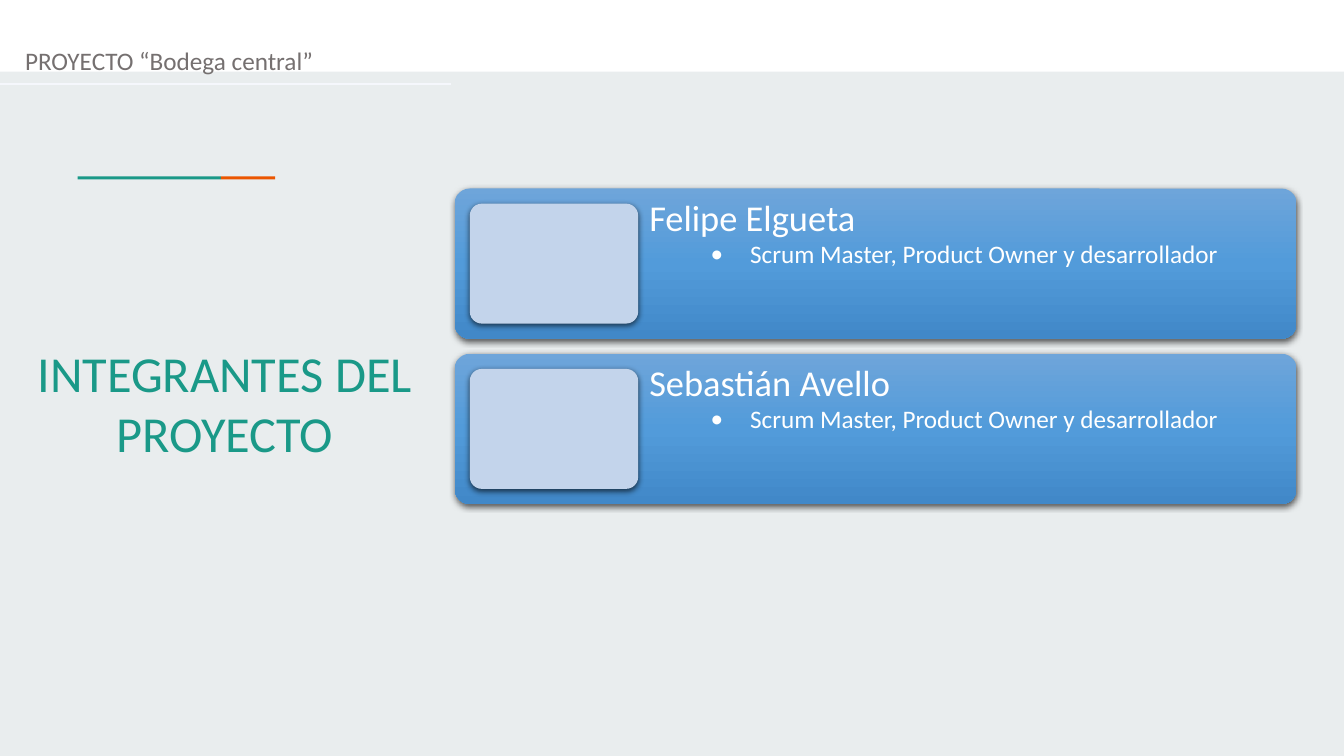
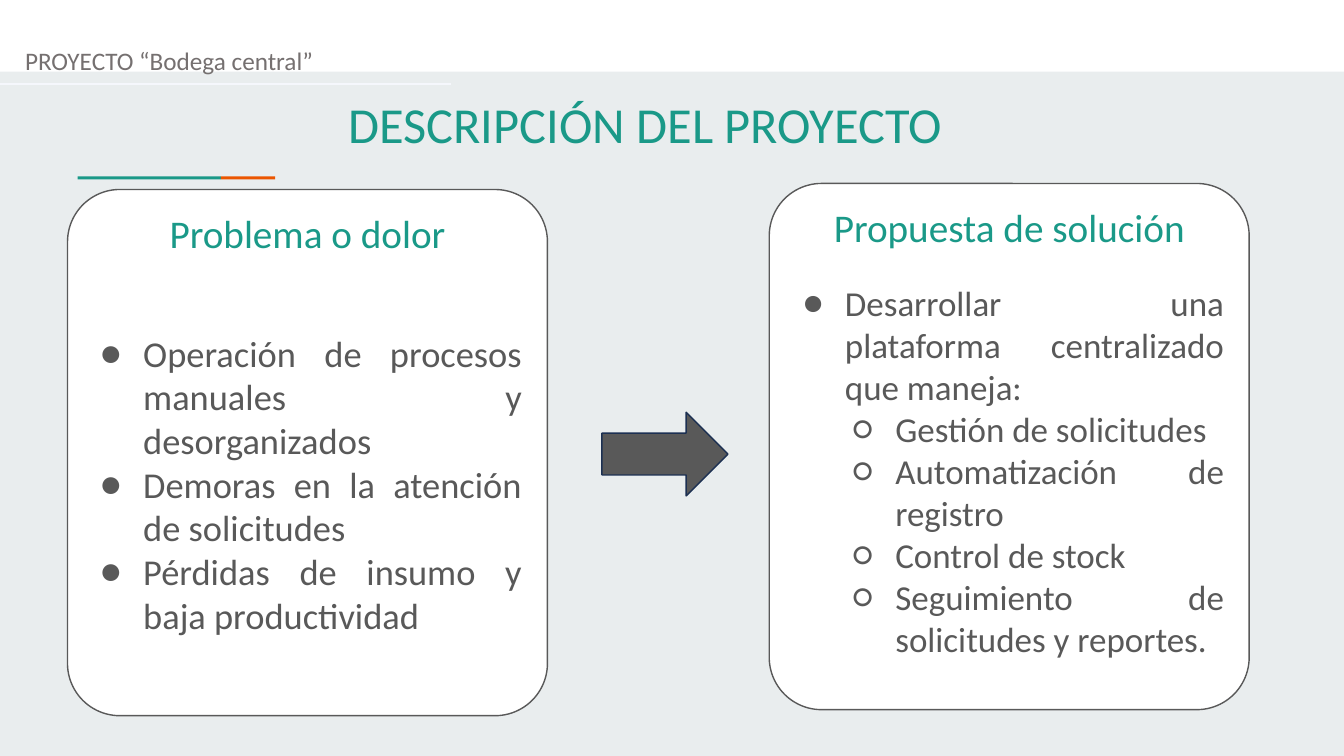
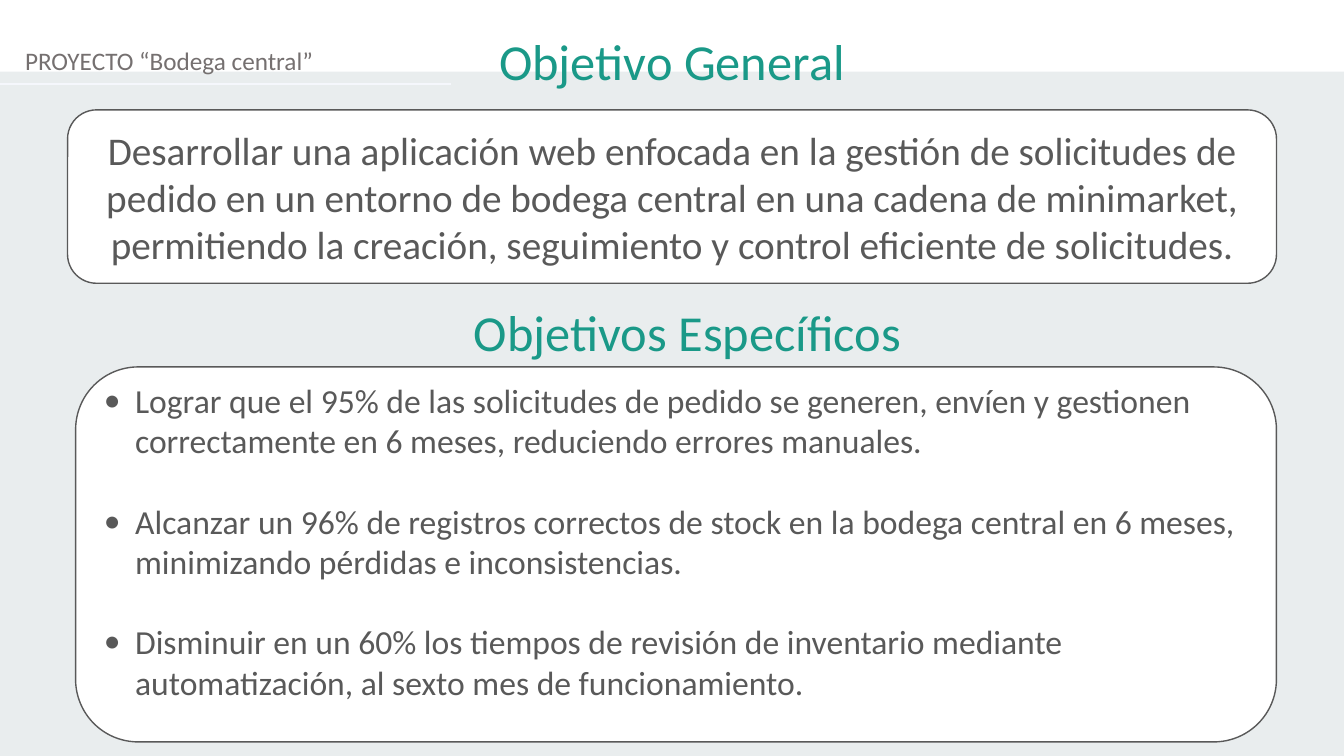
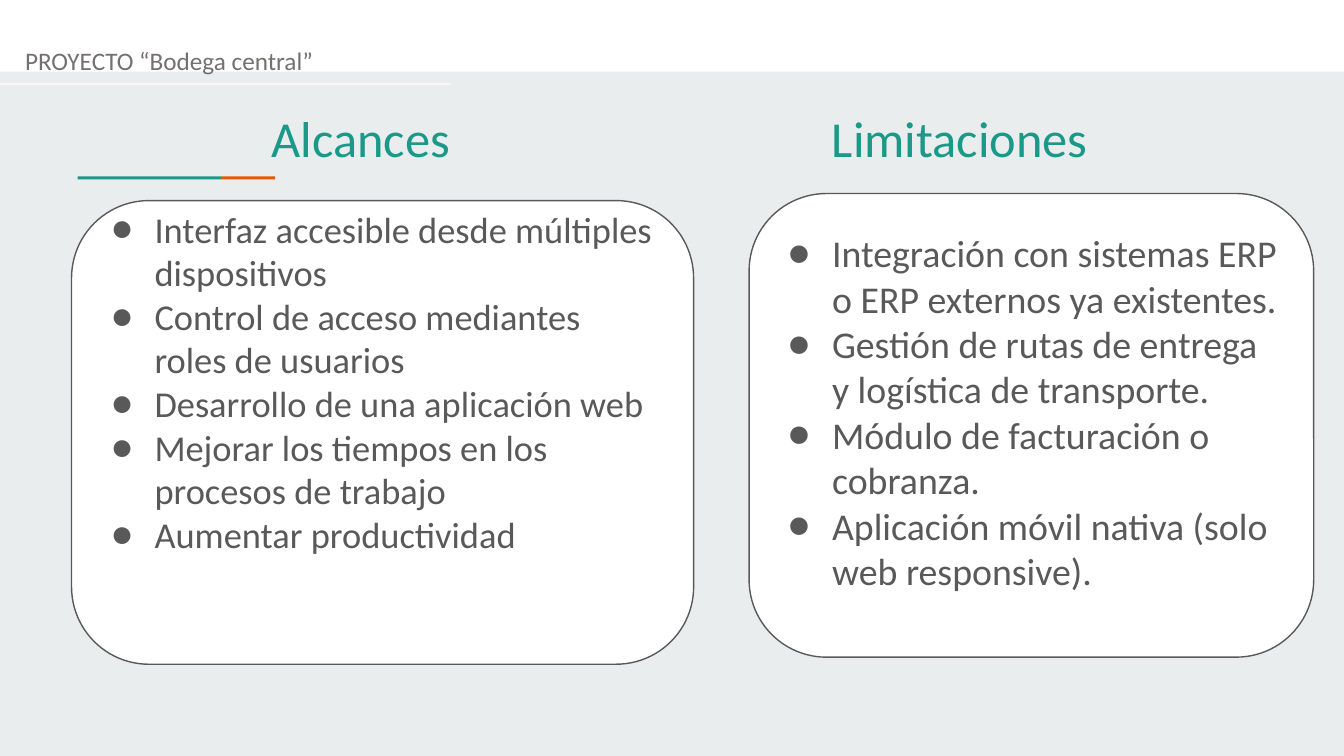
from pptx import Presentation
from pptx.dml.color import RGBColor
from pptx.enum.shapes import MSO_CONNECTOR, MSO_SHAPE
from pptx.enum.text import MSO_ANCHOR, MSO_AUTO_SIZE, PP_ALIGN
from pptx.oxml import parse_xml
from pptx.oxml.ns import qn
from pptx.util import Inches, Pt
from lxml import etree

WHITE = RGBColor(0xFF, 0xFF, 0xFF)
PAPER = RGBColor(0xE9, 0xED, 0xEE)
TEAL = RGBColor(0x1A, 0x99, 0x88)
ORANGE = RGBColor(0xEB, 0x56, 0x00)
GREY = RGBColor(0x59, 0x59, 0x59)
HEADER_GREY = RGBColor(0x75, 0x70, 0x70)
RULE = RGBColor(0xF5, 0xF7, 0xFC)
NAVY = RGBColor(0x1C, 0x30, 0x52)
PHOTO_BLUE = RGBColor(0xC3, 0xD4, 0xEB)
MEMBER_STOPS = [(0, RGBColor(0x6E, 0xA5, 0xDA)), (50, RGBColor(0x52, 0x9B, 0xDA)),
                (100, RGBColor(0x41, 0x88, 0xC8))]

FONT = "Calibri"
WIDTH, HEIGHT = 13.33, 7.5
CORNER_INSET = 0.29
DRAWING = 'xmlns:a="http://schemas.openxmlformats.org/drawingml/2006/main"'

HEADER = "PROYECTO “Bodega central”"
ACCENTS = [((0.77, 1.75, 1.42, 0.03), TEAL), ((2.19, 1.75, 0.54, 0.03), ORANGE)]

ROLE = "Scrum Master, Product Owner y desarrollador"
MEMBERS = [("Felipe Elgueta", ROLE), ("Sebastián Avello", ROLE)]

PROBLEM = {
    "card": (0.67, 1.88, 4.76, 5.22), "corner": 0.109, "top": 2.03,
    "heading": "Problema o dolor", "lead": 53, "size": 26, "align": PP_ALIGN.JUSTIFY,
    "bullet": ("●", 0.5, -0.43),
    "items": ["Operación de procesos manuales y desorganizados",
              "Demoras en la atención de solicitudes",
              "Pérdidas de insumo y baja productividad"],
}
SOLUTION = {
    "card": (7.63, 1.82, 4.76, 5.22), "corner": 0.109, "top": 1.97,
    "heading": "Propuesta de solución", "lead": 22, "size": 25, "align": PP_ALIGN.JUSTIFY,
    "bullet": ("●", 0.5, -0.42),
    "items": ["Desarrollar una plataforma centralizado que maneja:",
              ["Gestión de solicitudes", "Automatización de registro", "Control de stock",
               "Seguimiento de solicitudes y reportes."]],
}
GENERAL_GOAL = ("Desarrollar una aplicación web enfocada en la gestión de solicitudes de pedido "
                "en un entorno de bodega central en una cadena de minimarket, permitiendo la "
                "creación, seguimiento y control eficiente de solicitudes.")
SPECIFIC_GOALS = {
    "card": (0.75, 3.64, 11.91, 3.72), "corner": 0.167, "top": 3.72, "gap": 28.5, "size": 24,
    "bullet": ("•", 0.31, -0.31),
    "items": ["Lograr que el 95% de las solicitudes de pedido se generen, envíen y gestionen "
              "correctamente en 6 meses, reduciendo errores manuales.",
              "Alcanzar un 96% de registros correctos de stock en la bodega central en 6 meses, "
              "minimizando pérdidas e inconsistencias.",
              "Disminuir en un 60% los tiempos de revisión de inventario mediante "
              "automatización, al sexto mes de funcionamiento."],
}
SCOPE = {
    "card": (0.71, 1.99, 6.17, 4.6), "corner": 0.167, "top": 2.0, "size": 26,
    "bullet": ("●", 0.5, -0.43),
    "items": ["Interfaz accesible desde múltiples dispositivos",
              "Control de acceso mediantes roles de usuarios",
              "Desarrollo de una aplicación web",
              "Mejorar los tiempos en los procesos de trabajo",
              "Aumentar productividad"],
}
LIMITS = {
    "card": (7.43, 1.92, 5.6, 4.6), "corner": 0.167, "top": 2.23, "size": 27,
    "bullet": ("●", 0.5, -0.44),
    "items": ["Integración con sistemas ERP o ERP externos ya existentes.",
              "Gestión de rutas de entrega y logística de transporte.",
              "Módulo de facturación o cobranza.",
              "Aplicación móvil nativa (solo web responsive)."],
}


def place(shape, box):
    shape.left, shape.top, shape.width, shape.height = map(Inches, box)


def add_box(page, kind, box, fill, line=None, corner=None):
    shape = page.shapes.add_shape(kind, *map(Inches, box))
    shape.shadow.inherit = False
    shape.fill.solid()
    shape.fill.fore_color.rgb = fill
    if line is None:
        shape.line.fill.background()
    else:
        shape.line.color.rgb = line
        shape.line.width = Pt(1)
    if corner is not None:
        shape.adjustments[0] = corner
    return shape


def frame_of(shape, anchor=MSO_ANCHOR.TOP, side=0.1, edge=0.05):
    frame = shape.text_frame
    frame.word_wrap = True
    frame.auto_size = MSO_AUTO_SIZE.NONE
    frame.vertical_anchor = anchor
    frame.margin_left = frame.margin_right = Inches(side)
    frame.margin_top = frame.margin_bottom = Inches(edge)
    return frame


def write(para, text, size, color, align=PP_ALIGN.LEFT, bullet=None, before=0):
    para.text = text
    props = para._p.get_or_add_pPr()
    if bullet:
        mark, margin, indent = bullet
        props.set("marL", str(Inches(margin)))
        props.set("indent", str(Inches(indent)))
        tint = etree.SubElement(props, qn("a:buClr"))
        etree.SubElement(tint, qn("a:srgbClr")).set("val", str(color))
        etree.SubElement(props, qn("a:buFont")).set("typeface", FONT)
        etree.SubElement(props, qn("a:buChar")).set("char", mark)
    else:
        props.set("marL", "0")
        props.set("indent", "0")
        etree.SubElement(props, qn("a:buNone"))
    para.alignment = align
    para.space_before = Pt(before)
    for span in para.runs:
        span.font.name = FONT
        span.font.size = Pt(size)
        span.font.color.rgb = color


def write_title(shape, text, center, top, width=6, height=0.71):
    place(shape, (center - width / 2, top, width, height))
    write(frame_of(shape).paragraphs[0], text, 36, TEAL, PP_ALIGN.CENTER)


def add_title(page, *where):
    write_title(page.shapes.add_textbox(0, 0, 0, 0), *where)


def add_header(page):
    box = page.shapes.add_textbox(*map(Inches, (0.15, 0.4, 4.3, 0.4)))
    write(frame_of(box).paragraphs[0], HEADER, 18, HEADER_GREY)
    rule = page.shapes.add_connector(MSO_CONNECTOR.STRAIGHT, 0, Inches(0.83),
                                     Inches(4.47), Inches(0.83))
    rule.line.color.rgb = RULE
    rule.line.width = Pt(1.25)
    etree.SubElement(rule.element.spPr, qn("a:effectLst"))


def fill_card(page, body, content):
    left, top, width, height = content["card"]
    card = add_box(page, MSO_SHAPE.ROUNDED_RECTANGLE, content["card"], WHITE, GREY,
                   content["corner"])
    body.element.addprevious(card.element)
    inset = content["corner"] * min(width, height) * CORNER_INSET
    place(body, (left + inset, content["top"], width - 2 * inset,
                 top + height - content["top"]))
    mark, margin, indent = content["bullet"]
    rows = []
    for item in content["items"]:
        if isinstance(item, list):
            rows += [(text, 1, ("○", margin + 0.5, indent)) for text in item]
        else:
            rows.append((item, 0, content["bullet"]))
    frame = frame_of(body)
    para = frame.paragraphs[0]
    before = 0
    if "heading" in content:
        write(para, content["heading"], 28, TEAL, PP_ALIGN.CENTER)
        para = frame.add_paragraph()
        before = content["lead"]
    for number, (text, level, bullet) in enumerate(rows):
        if number:
            para = frame.add_paragraph()
            before = content.get("gap", 0)
        para.level = level
        write(para, text, content["size"], GREY, content.get("align", PP_ALIGN.LEFT),
              bullet, before)


def add_drop_shadow(shape):
    props = shape.element.spPr
    props.remove(props.find(qn("a:effectLst")))
    props.append(parse_xml(
        f'<a:effectLst {DRAWING}><a:outerShdw blurRad="{Pt(4.5)}" dist="{Pt(1.5)}" '
        'dir="5400000" algn="ctr" rotWithShape="0"><a:srgbClr val="000000">'
        '<a:alpha val="63000"/></a:srgbClr></a:outerShdw></a:effectLst>'))


def add_gradient(shape, stops):
    marks = "".join(f'<a:gs pos="{share * 1000}"><a:srgbClr val="{color}"/></a:gs>'
                    for share, color in stops)
    props = shape.element.spPr
    props.replace(props.find(qn("a:solidFill")), parse_xml(
        f'<a:gradFill {DRAWING} rotWithShape="1"><a:gsLst>{marks}</a:gsLst>'
        '<a:lin ang="5400000" scaled="0"/></a:gradFill>'))


def add_member(page, number, name, role):
    left, width, height, gap = 4.51, 8.35, 1.49, 0.15
    top = 1.87 + number * (height + gap)
    photo_width = 1.67
    panel = add_box(page, MSO_SHAPE.ROUNDED_RECTANGLE, (left, top, width, height),
                    MEMBER_STOPS[0][1], corner=0.1)
    add_gradient(panel, MEMBER_STOPS)
    photo = add_box(page, MSO_SHAPE.ROUNDED_RECTANGLE,
                    (left + gap, top + gap, photo_width, height - 2 * gap),
                    PHOTO_BLUE, corner=0.1)
    for shape in (panel, photo):
        add_drop_shadow(shape)
    offset = gap + photo_width
    box = page.shapes.add_textbox(*map(Inches, (left + offset, top, width - offset, height)))
    frame = frame_of(box, side=0.11, edge=0.11)
    write(frame.paragraphs[0], name, 26, WHITE)
    write(frame.add_paragraph(), role, 18, WHITE, bullet=("•", 1, -0.39), before=2)
    for para in frame.paragraphs:
        para.line_spacing = 0.9


def dress_template(deck, page, accent_layouts):
    master = deck.slide_master
    master.background.fill.solid()
    master.background.fill.fore_color.rgb = PAPER
    band = add_box(page, MSO_SHAPE.RECTANGLE, (0, 0, WIDTH, 0.71), WHITE)
    master.shapes.element.insert(2, band.element)
    for layout in accent_layouts:
        for box, color in ACCENTS:
            accent = add_box(page, MSO_SHAPE.RECTANGLE, box, color)
            layout.shapes.element.append(accent.element)


def main():
    deck = Presentation()
    deck.slide_width, deck.slide_height = Inches(WIDTH), Inches(HEIGHT)
    one_list, two_lists, title_only = (deck.slide_layouts[index] for index in (1, 3, 5))
    team, description, goals, limits = (
        deck.slides.add_slide(layout)
        for layout in (title_only, two_lists, one_list, two_lists))
    dress_template(deck, team, (title_only, two_lists))
    for page in deck.slides:
        add_header(page)

    write_title(team.shapes.title, "INTEGRANTES DEL PROYECTO", 2.23, 3.34, 3.95, 1.31)
    for number, member in enumerate(MEMBERS):
        add_member(team, number, *member)

    write_title(description.shapes.title, "DESCRIPCIÓN DEL PROYECTO", 6.4, 0.87, 12)
    fill_card(description, description.placeholders[1], PROBLEM)
    fill_card(description, description.placeholders[2], SOLUTION)
    add_box(description, MSO_SHAPE.RIGHT_ARROW, (5.97, 4.09, 1.25, 0.83), GREY, NAVY)

    write_title(goals.shapes.title, "Objetivo General", WIDTH / 2, 0.25)
    add_title(goals, "Objetivos Específicos", 6.82, 2.94)
    general = add_box(goals, MSO_SHAPE.ROUNDED_RECTANGLE, (0.67, 1.09, 11.99, 1.72),
                      WHITE, GREY, 0.167)
    write(frame_of(general, MSO_ANCHOR.MIDDLE).paragraphs[0], GENERAL_GOAL, 28, GREY,
          PP_ALIGN.CENTER)
    fill_card(goals, goals.placeholders[1], SPECIFIC_GOALS)

    write_title(limits.shapes.title, "Alcances", 3.58, 1.01)
    add_title(limits, "Limitaciones", 9.52, 1.01)
    fill_card(limits, limits.placeholders[1], SCOPE)
    fill_card(limits, limits.placeholders[2], LIMITS)
    deck.save("out.pptx")


if __name__ == "__main__":
    main()
